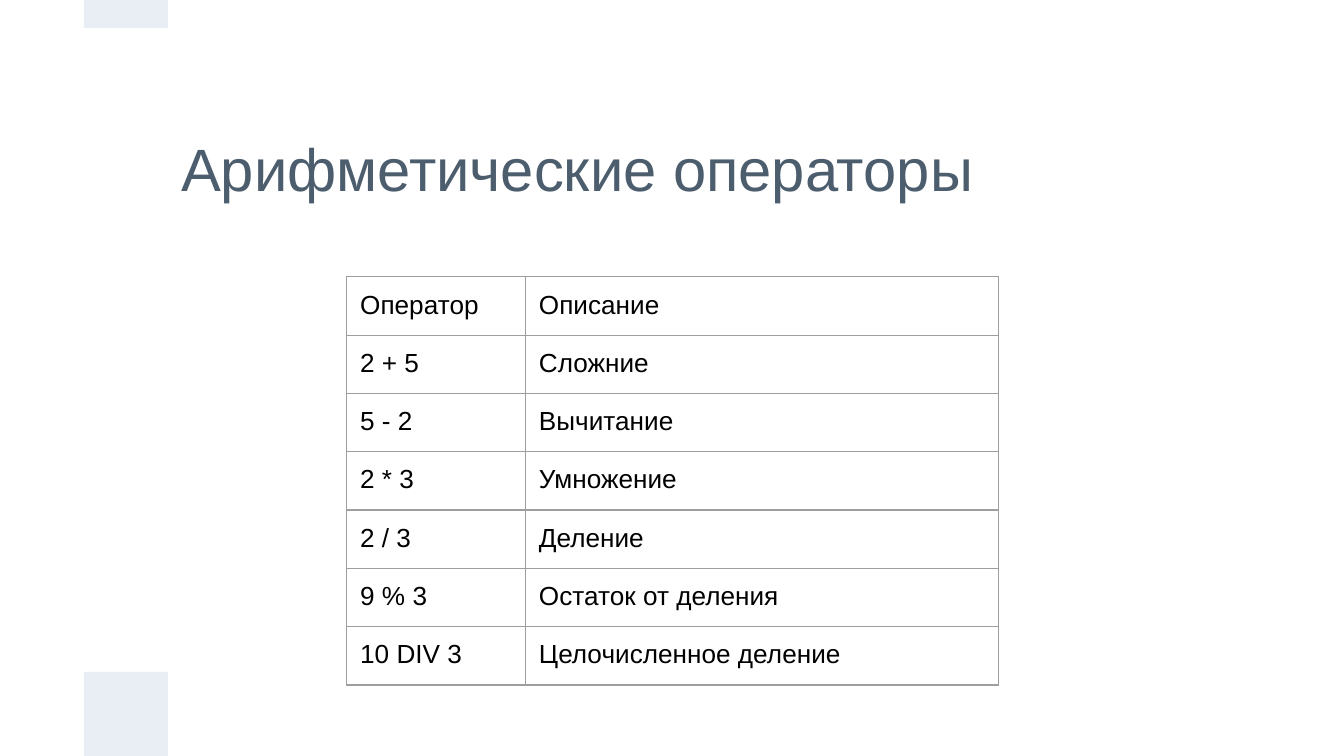
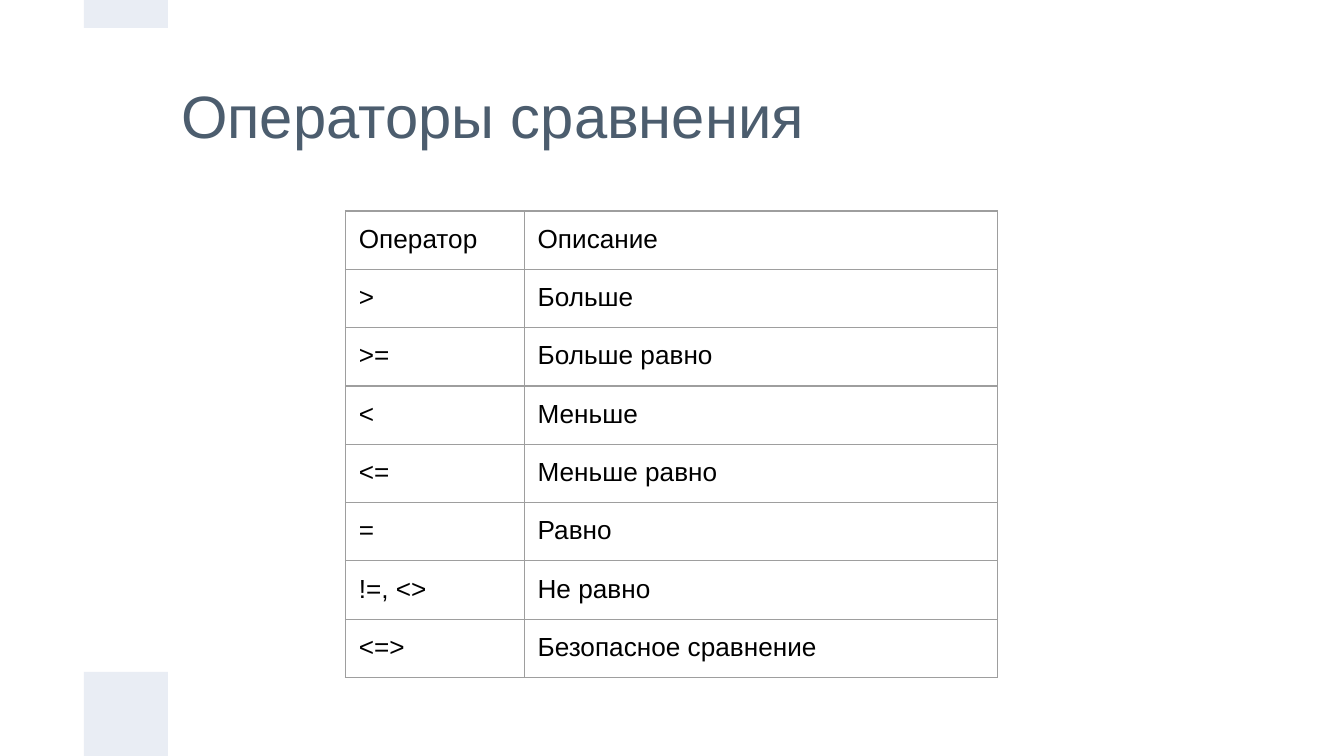
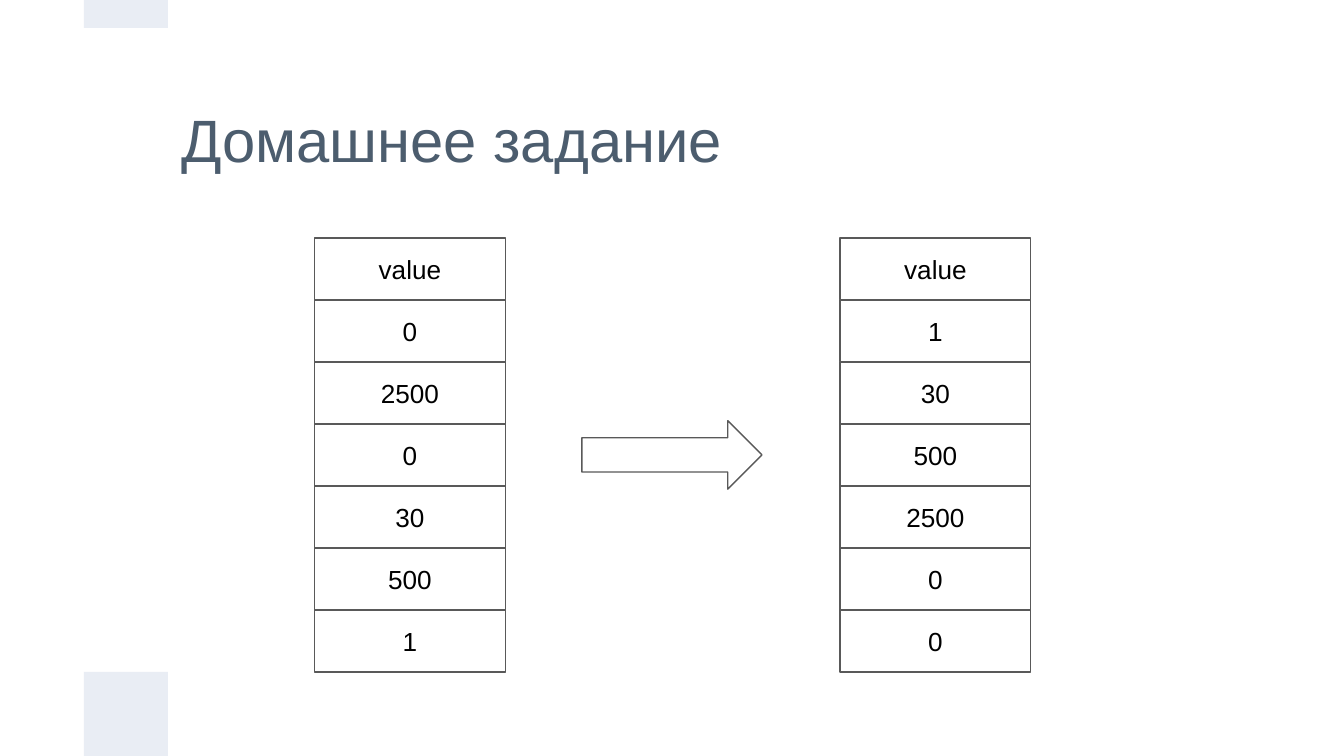
from lxml import etree
from pptx import Presentation
from pptx.dml.color import RGBColor
from pptx.enum.shapes import MSO_SHAPE
from pptx.enum.text import MSO_ANCHOR, PP_ALIGN
from pptx.oxml.ns import qn
from pptx.util import Inches, Pt

RECT, ARROW = MSO_SHAPE.RECTANGLE, MSO_SHAPE.RIGHT_ARROW
MIDDLE = MSO_ANCHOR.MIDDLE
LEFT, CENTER = PP_ALIGN.LEFT, PP_ALIGN.CENTER

FONT = "Arial"
TITLE_COLOR = "4C5D6E"
BAND_COLOR = "E9EDF4"
TEXT_COLOR = "000000"
GRID_COLOR = "9E9E9E"
OUTLINE_COLOR = "595959"
PLAIN_TABLE_STYLE = "{2D5ABB26-0587-4C30-8999-92F81FD0307C}"

SLIDE_W = 10
SLIDE_H = SLIDE_W * 9 / 16
INSET = 0.1
BAND_SIZE = SLIDE_W / 16
COLUMN_WIDTHS = (1.33, 3.52)
ROW_H = 0.42
STACK_TOP, STACK_W = 1.77, 1.42
BOX_H = (5 - STACK_TOP) / 7

HEADER = ("Оператор", "Описание")
ARITHMETIC = [
    HEADER,
    ("2 + 5", "Сложние"),
    ("5 - 2", "Вычитание"),
    ("2 * 3", "Умножение"),
    ("2 / 3", "Деление"),
    ("9 % 3", "Остаток от деления"),
    ("10 DIV 3", "Целочисленное деление"),
]
COMPARISON = [
    HEADER,
    (">", "Больше"),
    (">=", "Больше равно"),
    ("<", "Меньше"),
    ("<=", "Меньше равно"),
    ("=", "Равно"),
    ("!=, <>", "Не равно"),
    ("<=>", "Безопасное сравнение"),
]
UNSORTED = ["value", "0", "2500", "0", "30", "500", "1"]
SORTED = ["value", "1", "30", "500", "2500", "0", "0"]


def rgb(color):
    """Turn a hex string into a colour."""
    return RGBColor.from_string(color)


def set_insets(target):
    """Give a text frame or table cell equal margins."""
    target.margin_left = target.margin_right = Inches(INSET)
    target.margin_top = target.margin_bottom = Inches(INSET)


def write(tf, text, size=14, color=TEXT_COLOR, align=LEFT):
    """Write one styled paragraph into a text frame."""
    p = tf.paragraphs[0]
    p.text = text
    p.alignment = align
    p.line_spacing = 1.0
    p.font.name = FONT
    p.font.size = Pt(size)
    p.font.color.rgb = rgb(color)


def add_shape(s, kind, x, y, w, h, fill=None, line=None):
    """Add a preset shape with an optional fill and outline."""
    sp = s.shapes.add_shape(kind, Inches(x), Inches(y), Inches(w), Inches(h))
    sp.shadow.inherit = False
    if fill:
        sp.fill.solid()
        sp.fill.fore_color.rgb = rgb(fill)
    else:
        sp.fill.background()
    if line:
        sp.line.color.rgb = rgb(line)
        sp.line.width = Pt(0.75)
    else:
        sp.line.fill.background()
    return sp


def add_title(s, text, y, h):
    """Add the slide title."""
    sp = s.shapes.add_textbox(Inches(1.25), Inches(y), Inches(7.5), Inches(h))
    tf = sp.text_frame
    tf.word_wrap = True
    tf.vertical_anchor = MIDDLE
    set_insets(tf)
    write(tf, text, 32, TITLE_COLOR)


def new_slide(prs, title, y, h):
    """Add a blank slide with its title and the two bands."""
    s = prs.slides.add_slide(prs.slide_layouts[6])
    add_title(s, title, y, h)
    add_shape(s, RECT, BAND_SIZE, SLIDE_H - BAND_SIZE, BAND_SIZE, BAND_SIZE, BAND_COLOR)
    add_shape(s, RECT, BAND_SIZE, 0, BAND_SIZE, BAND_SIZE / 3, BAND_COLOR)
    return s


def set_borders(cell):
    """Draw thin grey lines on all four sides of a cell."""
    pr = cell._tc.get_or_add_tcPr()
    for i, side in enumerate(("a:lnL", "a:lnR", "a:lnT", "a:lnB")):
        ln = etree.Element(qn(side), w=str(Pt(0.75)))
        fill = etree.SubElement(ln, qn("a:solidFill"))
        etree.SubElement(fill, qn("a:srgbClr"), val=GRID_COLOR)
        pr.insert(i, ln)


def add_operator_table(s, rows, x, y):
    """Add a table of operators and their descriptions."""
    frame = s.shapes.add_table(
        len(rows), len(COLUMN_WIDTHS), Inches(x), Inches(y),
        Inches(sum(COLUMN_WIDTHS)), Inches(ROW_H * len(rows)))
    table = frame.table
    table.first_row = table.horz_banding = False
    table._tbl.tblPr.find(qn("a:tableStyleId")).text = PLAIN_TABLE_STYLE
    for column, width in zip(table.columns, COLUMN_WIDTHS):
        column.width = Inches(width)
    for row, texts in zip(table.rows, rows):
        row.height = Inches(ROW_H)
        for cell, text in zip(row.cells, texts):
            cell.fill.background()
            set_insets(cell)
            set_borders(cell)
            write(cell.text_frame, text)


def add_stack(s, values, x):
    """Add a column of outlined boxes, one for each value."""
    for i, value in enumerate(values):
        sp = add_shape(s, RECT, x, STACK_TOP + i * BOX_H, STACK_W, BOX_H,
                       line=OUTLINE_COLOR)
        tf = sp.text_frame
        tf.word_wrap = True
        tf.vertical_anchor = MIDDLE
        set_insets(tf)
        write(tf, value, align=CENTER)


def main():
    """Build and save the presentation."""
    prs = Presentation()
    prs.slide_width, prs.slide_height = Inches(SLIDE_W), Inches(SLIDE_H)

    s = new_slide(prs, "Арифметические операторы", 0.62, 1.25)
    add_operator_table(s, ARITHMETIC, 2.58, 2.06)

    s = new_slide(prs, "Операторы сравнения", 0.46, 0.79)
    add_operator_table(s, COMPARISON, 2.57, 1.57)

    s = new_slide(prs, "Домашнее задание", 0.62, 0.82)
    add_stack(s, UNSORTED, 2.34)
    add_shape(s, ARROW, 4.33, 3.13, 1.34, 0.51, line=OUTLINE_COLOR)
    add_stack(s, SORTED, 6.25)

    prs.save("out.pptx")


main()
